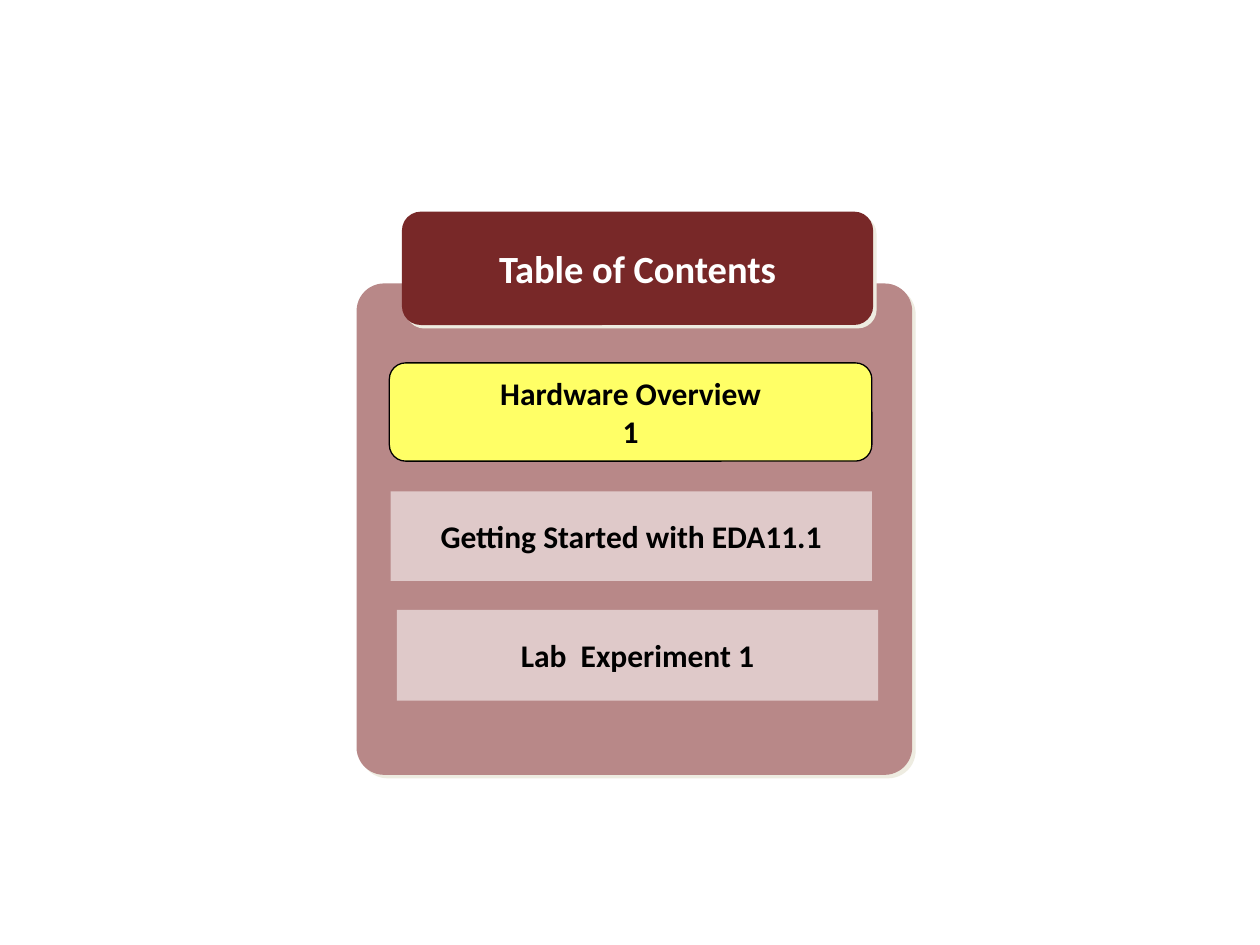
from lxml.etree import SubElement
from pptx import Presentation
from pptx.dml.color import RGBColor
from pptx.enum.shapes import MSO_SHAPE
from pptx.enum.text import MSO_ANCHOR, MSO_AUTO_SIZE, PP_ALIGN
from pptx.oxml.ns import qn
from pptx.util import Inches, Pt

COLORS = {
    "panel": "B88888",
    "heading": "782828",
    "current": "FFFF66",
    "entry": "DFC9C9",
    "shadow": "EEECE1",
    "black": "000000",
    "white": "FFFFFF",
}


def write(shape, text, size=18, color="black"):
    """Write centred bold text, one paragraph per line."""
    frame = shape.text_frame
    frame.text = text
    frame.word_wrap = True
    frame.auto_size = MSO_AUTO_SIZE.NONE
    frame.vertical_anchor = MSO_ANCHOR.MIDDLE
    for paragraph in frame.paragraphs:
        paragraph.alignment = PP_ALIGN.CENTER
        font = paragraph.font
        font.name, font.size, font.bold = "Calibri", Pt(size), True
        font.color.rgb = RGBColor.from_string(COLORS[color])


def add_box(preset, left, top, width, height, fill, outline=None, shadow=False):
    """Add a filled box with an optional outline and hard offset shadow."""
    box = slide.shapes.add_shape(preset, Inches(left), Inches(top),
                                 Inches(width), Inches(height))
    box.fill.solid()
    box.fill.fore_color.rgb = RGBColor.from_string(COLORS[fill])
    if outline:
        box.line.color.rgb = RGBColor.from_string(COLORS[outline])
        box.line.width = Pt(0.75)
    else:
        box.line.fill.background()
    box.shadow.inherit = False
    if shadow:
        effects = box._element.spPr.find(qn("a:effectLst"))
        outer = SubElement(effects, qn("a:outerShdw"), dist=str(Pt(2.8)),
                           dir=str(45 * 60000), algn="ctr", rotWithShape="0")
        SubElement(outer, qn("a:srgbClr"), val=COLORS["shadow"])
    return box


prs = Presentation()
prs.slide_width, prs.slide_height = Inches(10), Inches(7.5)
slide = prs.slides.add_slide(prs.slide_layouts[5])

# Backing panel
panel = add_box(MSO_SHAPE.ROUNDED_RECTANGLE, 2.83, 2.25, 4.41, 3.9, "panel", shadow=True)
panel.adjustments[0] = 0.056

# Heading: rounded plate with the title placeholder in front of it
plate = add_box(MSO_SHAPE.ROUNDED_RECTANGLE, 3.19, 1.68, 3.74, 0.9, "heading", shadow=True)
heading = slide.shapes.title
heading.left, heading.top = plate.left, plate.top
heading.width, heading.height = plate.width, plate.height
write(heading, "Table of Contents", size=22, color="white")
plate._element.addnext(heading._element)

# Contents entries, with the current one highlighted
entries = [
    ("Hardware Overview\n1", MSO_SHAPE.ROUNDED_RECTANGLE, 3.09, 2.88, 3.83, 0.78, "current", "black"),
    ("Getting Started with EDA11.1", MSO_SHAPE.RECTANGLE, 3.1, 3.9, 3.82, 0.71, "entry", None),
    ("Lab  Experiment 1", MSO_SHAPE.RECTANGLE, 3.15, 4.84, 3.82, 0.72, "entry", None),
]
for text, preset, left, top, width, height, fill, outline in entries:
    entry = add_box(preset, left, top, width, height, fill, outline)
    write(entry, text)

prs.save("out.pptx")
